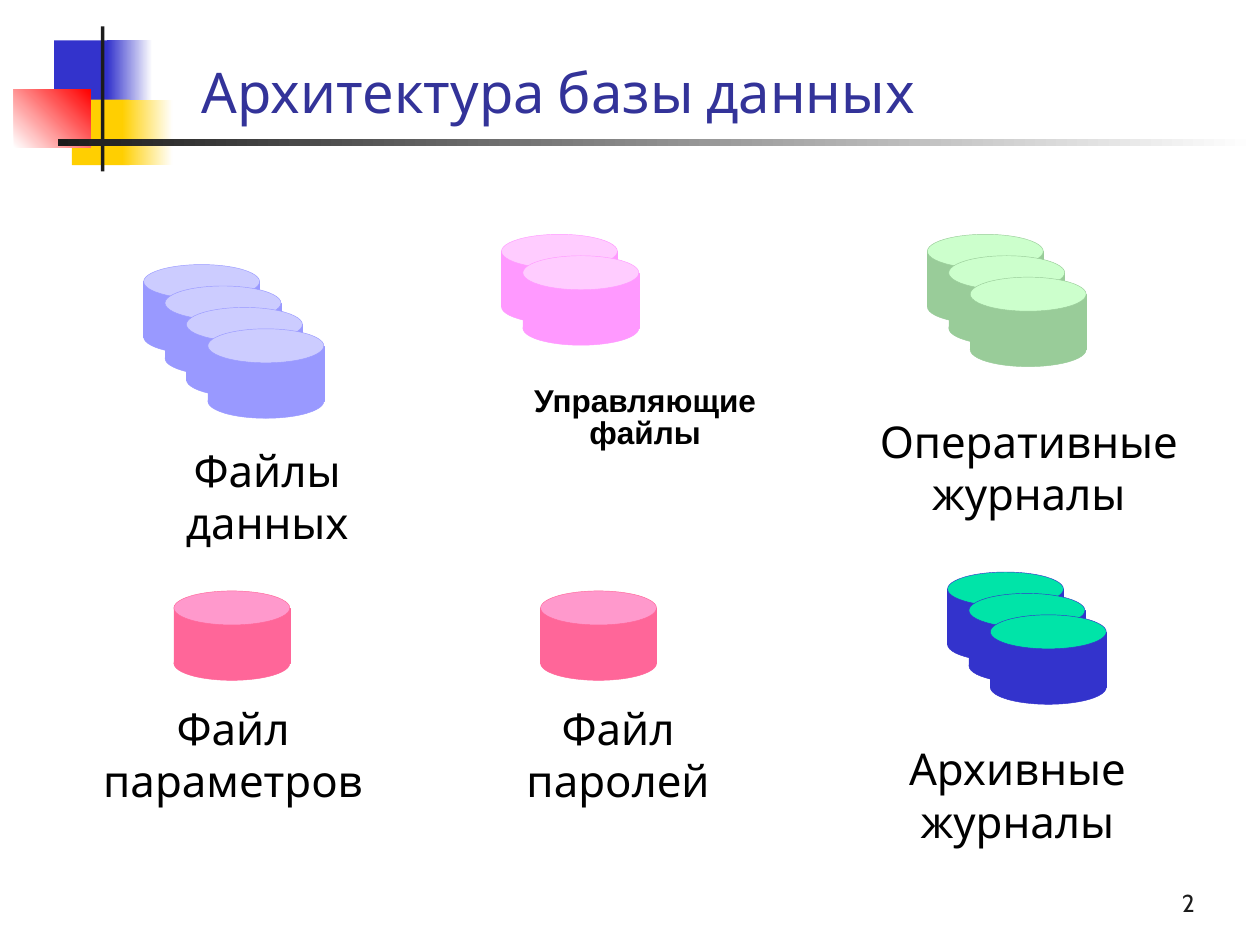
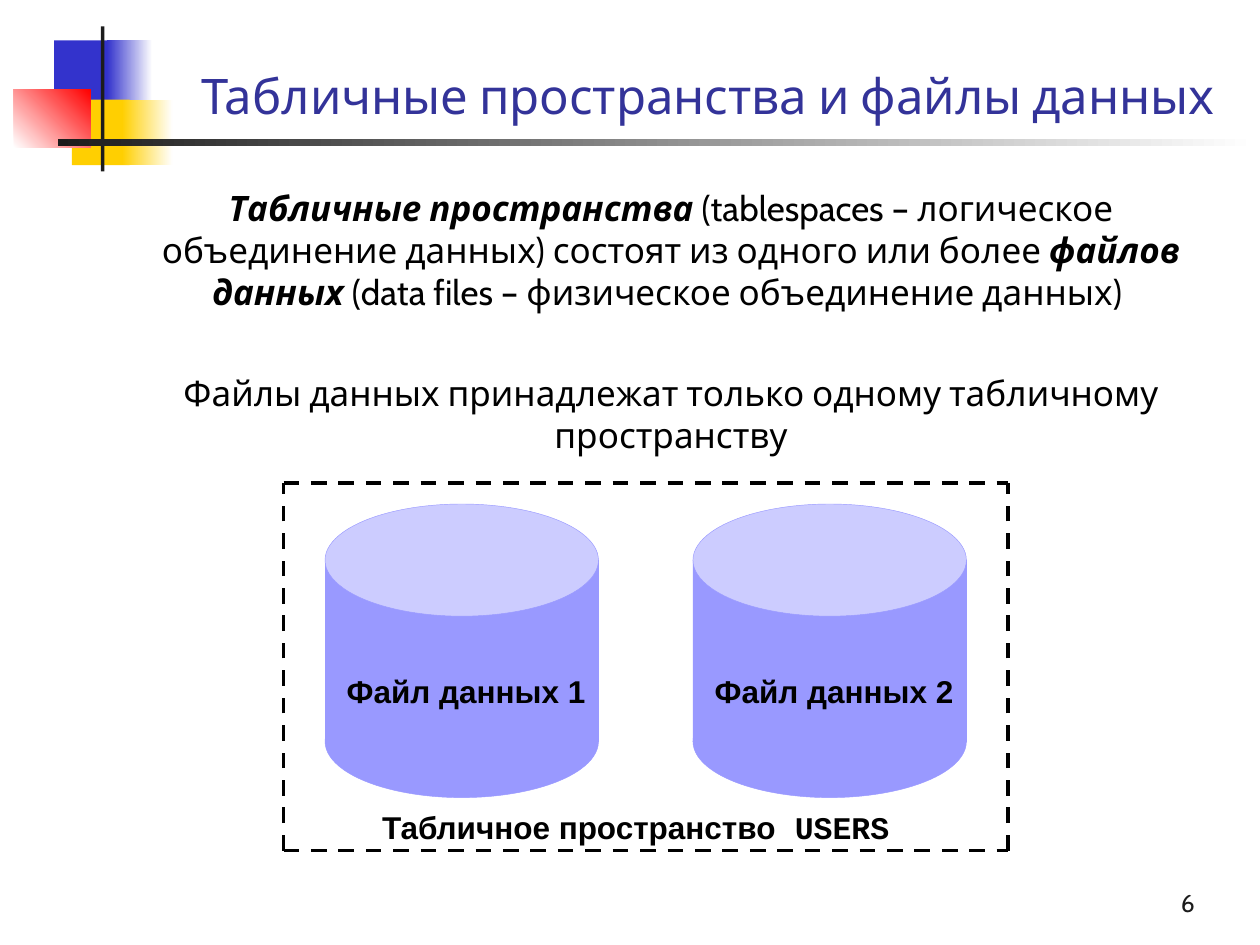
from dataclasses import dataclass

from lxml.etree import SubElement
from pptx import Presentation
from pptx.dml.color import RGBColor
from pptx.enum.dml import MSO_LINE_DASH_STYLE as Dash
from pptx.enum.shapes import MSO_CONNECTOR as Connector, MSO_SHAPE as Preset
from pptx.enum.text import MSO_ANCHOR as Anchor, MSO_AUTO_SIZE as AutoSize, PP_ALIGN as Align
from pptx.oxml.ns import qn
from pptx.shapes.autoshape import Shape
from pptx.slide import Slide
from pptx.text.text import TextFrame
from pptx.util import Inches, Pt

COLORS = {
    "title": "333399", "text": "000000", "ink": "1C1C1C", "white": "FFFFFF",
    "blue": "3333CC", "yellow": "FFCF01", "red": "FF0000", "mint": "00E4A8",
    "lilac": "9999FF", "lilac_lid": "CCCCFF",
    "pink": "FF99FF", "pink_lid": "FFCCFF",
    "green": "99CC99", "green_lid": "CCFFCC",
    "rose": "FF6699", "rose_lid": "FF99CC",
}
MAIN_FONT = "Cabin"
STACK_STEP = 0.17
SMALL_DISK = (0.92, 0.71, 0.27)
LARGE_DISK = (2.17, 2.33, 0.89)
THIN_INSETS = (0.01, 0.01)
LABEL_INSETS = (0.06, 0.03)
NUMBER_INSETS = (0.1, 0.05)


@dataclass(frozen=True)
class Box:
    left: float
    top: float
    width: float
    height: float

    def lengths(self) -> tuple:
        return tuple(Inches(value) for value in (self.left, self.top, self.width, self.height))


@dataclass(frozen=True)
class Block:
    box: Box
    start: str
    end: str = ""
    angle: float = 0


@dataclass(frozen=True)
class DiskStack:
    left: float
    top: float
    body: str
    lid: str
    count: int = 1
    size: tuple = SMALL_DISK


@dataclass(frozen=True)
class Span:
    text: str
    size: float
    font: str = MAIN_FONT
    bold: bool = False
    italic: bool = False
    color: str = "text"


@dataclass(frozen=True)
class Label:
    box: Box
    spans: tuple


EMBLEM = (
    Block(Box(0.43, 0.32, 0.48, 0.52), "blue"),
    Block(Box(0.85, 0.32, 0.36, 0.52), "blue", "white"),
    Block(Box(0.57, 0.79, 0.46, 0.52), "yellow"),
    Block(Box(0.97, 0.79, 0.4, 0.52), "yellow", "white"),
    Block(Box(0.11, 0.71, 0.61, 0.46), "white", "red", 45),
    Block(Box(0.8, 0.21, 0.03, 1.15), "ink"),
    Block(Box(0.46, 1.1, 9.51, 0.06), "ink", "white"),
)

FILE_STACKS = (
    DiskStack(7.36, 1.86, "green", "green_lid", 3),
    DiskStack(4.29, 4.69, "rose", "rose_lid"),
    DiskStack(1.38, 4.69, "rose", "rose_lid"),
    DiskStack(7.52, 4.54, "blue", "mint", 3),
    DiskStack(3.98, 1.86, "pink", "pink_lid", 2),
    DiskStack(1.14, 2.1, "lilac", "lilac_lid", 4),
)

FILE_NAMES = (
    (Box(0.9, 3.51, 2.44, 0.86), "Файлы данных"),
    (Box(6.5, 3.28, 3.33, 0.86), "Оперативные журналы"),
    (Box(3.82, 5.56, 2.17, 0.86), "Файл паролей"),
    (Box(0.67, 5.56, 2.36, 0.86), "Файл параметров"),
    (Box(6.81, 5.88, 2.53, 0.86), "Архивные журналы"),
)


def rgb(name: str) -> RGBColor:
    return RGBColor.from_string(COLORS[name])


def add_filled(shapes, preset: Preset, box: Box, color: str) -> Shape:
    shape = shapes.add_shape(preset, *box.lengths())
    shape.shadow.inherit = False
    shape.fill.solid()
    shape.fill.fore_color.rgb = rgb(color)
    shape.line.fill.background()
    return shape


def add_emblem(slide: Slide) -> None:
    shapes = slide.shapes.add_group_shape().shapes
    for block in EMBLEM:
        shape = add_filled(shapes, Preset.RECTANGLE, block.box, block.start)
        if block.end:
            shape.fill.gradient()
            shape.fill.gradient_angle = block.angle
            for stop, color in zip(shape.fill.gradient_stops, (block.start, block.end)):
                stop.color.rgb = rgb(color)


def add_stack(slide: Slide, stack: DiskStack) -> None:
    shapes = slide.shapes.add_group_shape().shapes
    width, height, lid = stack.size
    for index in range(stack.count):
        left = stack.left + index * STACK_STEP
        top = stack.top + index * STACK_STEP
        parts = (
            (Preset.RECTANGLE, top + lid / 2, height - lid, stack.body),
            (Preset.OVAL, top, lid, stack.lid),
            (Preset.OVAL, top + height - lid, lid, stack.body),
        )
        for preset, part_top, part_height, color in parts:
            shape = add_filled(shapes, preset, Box(left, part_top, width, part_height), color)
            shape.line.color.rgb = rgb(stack.body)
            shape.line.width = Pt(0.25)


def add_span(paragraph, span: Span) -> None:
    run = paragraph.add_run()
    run.text = span.text
    font = run.font
    font.name, font.size = span.font, Pt(span.size)
    font.bold, font.italic = span.bold, span.italic
    font.color.rgb = rgb(span.color)


def add_text(slide: Slide, box: Box, paragraphs: tuple, insets: tuple,
             align: Align = Align.CENTER) -> TextFrame:
    frame = slide.shapes.add_textbox(*box.lengths()).text_frame
    frame.word_wrap = True
    frame.margin_left = frame.margin_right = Inches(insets[0])
    frame.margin_top = frame.margin_bottom = Inches(insets[1])
    for index, spans in enumerate(paragraphs):
        paragraph = frame.add_paragraph() if index else frame.paragraphs[0]
        paragraph.alignment = align
        for span in spans:
            add_span(paragraph, span)
    return frame


def add_label(slide: Slide, label: Label) -> None:
    frame = add_text(slide, label.box, (label.spans,), LABEL_INSETS)
    frame.paragraphs[0].line_spacing = 0.85


def arial(text: str) -> Span:
    return Span(text, 18, "Arial", bold=True)


def add_dashed_line(slide: Slide, start: tuple, end: tuple) -> None:
    line = slide.shapes.add_connector(
        Connector.STRAIGHT, *(Inches(value) for value in start + end))
    line.line.color.rgb = rgb("text")
    line.line.width = Pt(2.25)
    line.line.dash_style = Dash.DASH
    SubElement(line._element.spPr, qn("a:effectLst"))


def add_base_slide(presentation, title: str, title_size: float, number: str) -> Slide:
    slide = presentation.slides.add_slide(presentation.slide_layouts[5])
    add_emblem(slide)
    heading = slide.shapes.title
    heading.left, heading.top, heading.width, heading.height = Box(1.5, -0.19, 8.5, 1.23).lengths()
    frame = heading.text_frame
    frame.vertical_anchor = Anchor.BOTTOM
    frame.auto_size = AutoSize.NONE
    frame.word_wrap = True
    frame.paragraphs[0].alignment = Align.LEFT
    add_span(frame.paragraphs[0], Span(title, title_size, color="title"))
    footer = add_text(slide, Box(7.5, 6.83, 2.08, 0.5),
                      ((Span(number, 14, color="ink"),),), NUMBER_INSETS, Align.RIGHT)
    footer.vertical_anchor = Anchor.BOTTOM
    return slide


def build_architecture(presentation) -> None:
    slide = add_base_slide(presentation, "Архитектура базы данных", 32, "2")
    for stack in FILE_STACKS:
        add_stack(slide, stack)
    for box, name in FILE_NAMES:
        frame = add_text(slide, box, ((Span(name, 25),),), THIN_INSETS)
        frame.paragraphs[0].space_before = Pt(6.2)
    add_label(slide, Label(Box(3.82, 3.04, 2.6, 0.57), (arial("Управляющие файлы"),)))


def build_tablespaces(presentation) -> None:
    slide = add_base_slide(presentation, "Табличные пространства и файлы данных", 28, "6")
    definition = (
        Span("Табличные пространства ", 20, bold=True, italic=True),
        Span("(tablespaces – логическое объединение данных) состоят из одного или более ", 20),
        Span("файлов данных ", 20, bold=True, italic=True),
        Span("(data files – физическое объединение данных) ", 20),
    )
    ownership = (Span("Файлы данных принадлежат только одному табличному пространству", 20),)
    frame = add_text(slide, Box(0.51, 1.47, 9.13, 2.17), (definition, ownership), THIN_INSETS)
    for paragraph, space in zip(frame.paragraphs, (5, 34)):
        paragraph.space_before = Pt(space)
        paragraph._p.get_or_add_pPr().set("marL", str(Inches(0.5)))

    left, top, right, bottom = 2.25, 3.83, 8, 6.75
    for y in (bottom, top):
        add_dashed_line(slide, (left, y), (right, y))
    for x in (left, right):
        add_dashed_line(slide, (x, bottom), (x, top))

    for index, disk_left in enumerate((2.58, 5.5), start=1):
        add_stack(slide, DiskStack(disk_left, 4, "lilac", "lilac_lid", size=LARGE_DISK))
        add_label(slide, Label(Box(disk_left - 0.18, 5.35, 2.6, 0.32),
                               (arial(f"Файл данных {index}"),)))
    add_label(slide, Label(Box(2.92, 6.43, 4.25, 0.32), (
        arial("Табличное пространство"),
        Span(" USERS", 18, "Courier New", bold=True),
    )))


def main() -> None:
    presentation = Presentation()
    presentation.slide_width, presentation.slide_height = Inches(10), Inches(7.5)
    build_architecture(presentation)
    build_tablespaces(presentation)
    presentation.save("out.pptx")


if __name__ == "__main__":
    main()
